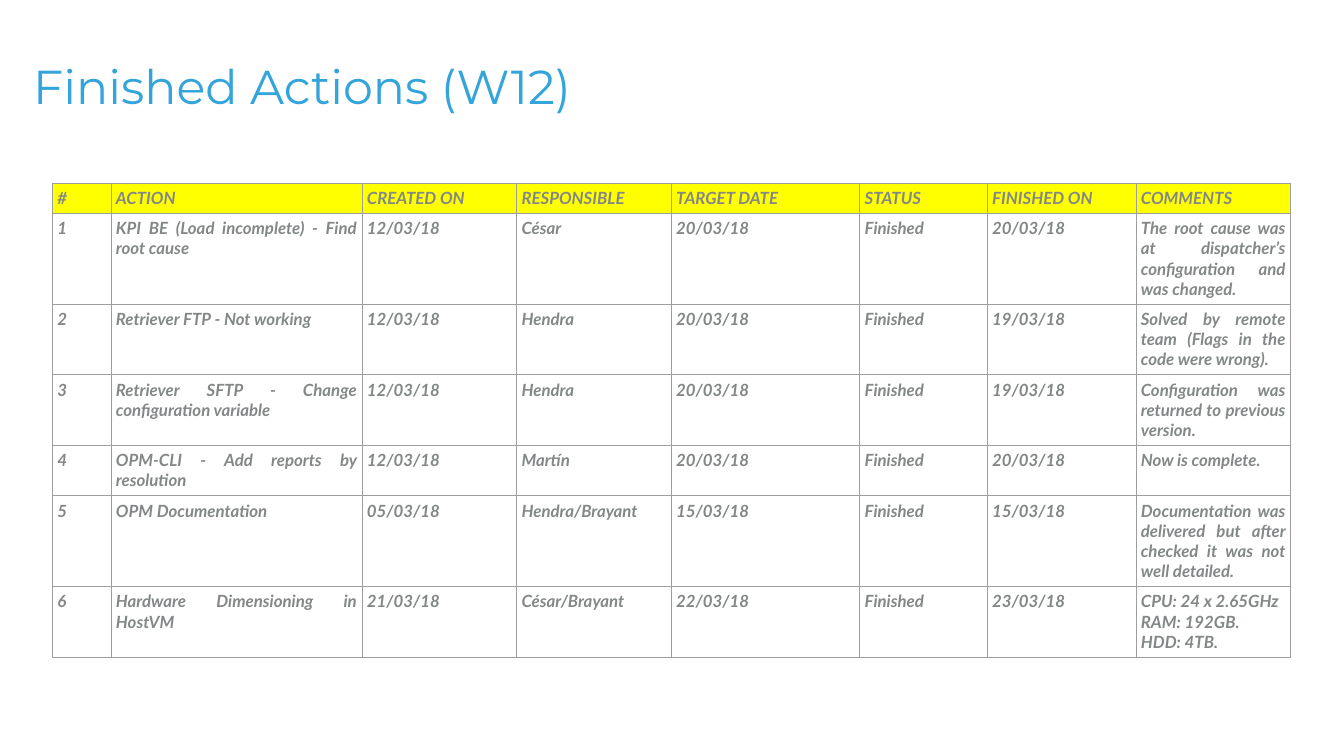
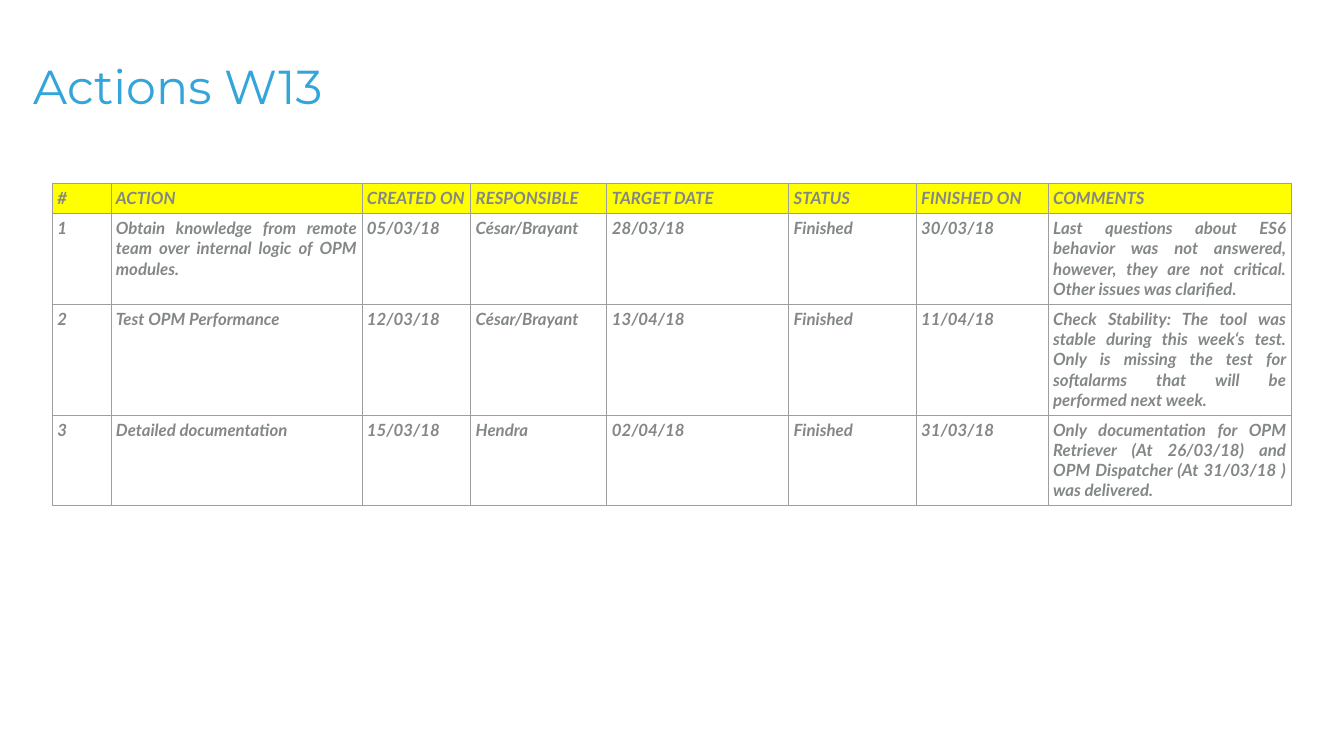
import pptx
import pptx.dml.color
import pptx.enum.text
import pptx.oxml.ns
import pptx.util
from lxml import etree

PX = 9144  # EMU per px, 100 px to the inch

HEADINGS = ("#", "ACTION", "CREATED ON", "RESPONSIBLE", "TARGET DATE",
            "STATUS", "FINISHED ON", "COMMENTS")
STATUS = "Finished"

# Action, created on, responsible, target date, finished on, comments
WEEK_12 = [
    ("KPI BE (Load incomplete) - Find root cause", "12/03/18", "César", "20/03/18",
     "20/03/18", "The root cause was at dispatcher’s configuration and was changed."),
    ("Retriever FTP - Not working", "12/03/18", "Hendra", "20/03/18",
     "19/03/18", "Solved by remote team (Flags in the code were wrong)."),
    ("Retriever SFTP - Change configuration variable", "12/03/18", "Hendra", "20/03/18",
     "19/03/18", "Configuration was returned to previous version."),
    ("OPM-CLI - Add reports by resolution", "12/03/18", "Martín", "20/03/18",
     "20/03/18", "Now is complete."),
    ("OPM Documentation", "05/03/18", "Hendra/Brayant", "15/03/18",
     "15/03/18", "Documentation was delivered but after checked it was not well detailed."),
    ("Hardware Dimensioning in HostVM", "21/03/18", "César/Brayant", "22/03/18",
     "23/03/18", "CPU: 24 x 2.65GHz\nRAM: 192GB.\nHDD: 4TB."),
]
WEEK_13 = [
    ("Obtain knowledge from remote team over internal logic of OPM modules.",
     "05/03/18", "César/Brayant", "28/03/18", "30/03/18",
     "Last questions about ES6 behavior was not answered, however, they are not "
     "critical. Other issues was clarified."),
    ("Test OPM Performance", "12/03/18", "César/Brayant", "13/04/18", "11/04/18",
     "Check Stability: The tool was stable during this week‘s test. Only is missing "
     "the test for softalarms that will be performed next week."),
    ("Detailed documentation", "15/03/18", "Hendra", "02/04/18", "31/03/18",
     "Only documentation for OPM Retriever (At 26/03/18) and OPM Dispatcher "
     "(At 31/03/18 ) was delivered."),
]


def color(value):
    return pptx.dml.color.RGBColor.from_string(value)


def write(frame, text, font, size, ink, bold=False, italic=False, align=None):
    """Fill a text frame, one paragraph for each line of text."""
    frame.word_wrap = True
    for index, line in enumerate(text.split("\n")):
        paragraph = frame.paragraphs[0] if index == 0 else frame.add_paragraph()
        paragraph.alignment = align
        run = paragraph.add_run()
        run.text = line
        run.font.name = font
        run.font.size = pptx.util.Pt(size)
        run.font.bold = bold
        run.font.italic = italic
        run.font.color.rgb = color(ink)


def set_margins(target, margin):
    target.margin_left = target.margin_right = margin
    target.margin_top = target.margin_bottom = margin


class Deck:
    TITLE = dict(font="Montserrat", size=68, ink="34A5DA")
    CELL = dict(font="Lato", size=24, ink="838787", bold=True, italic=True,
                align=pptx.enum.text.PP_ALIGN.JUSTIFY)
    HEADER_FILL = "FFFF00"
    BORDER = "9E9E9E"
    BORDER_WIDTH = 0.75
    MARGIN = 10 * PX
    ROW_HEIGHT = 42 * PX

    def __init__(self):
        self.presentation = pptx.Presentation()
        self.presentation.slide_width = 2667 * PX
        self.presentation.slide_height = 1500 * PX
        self.slide = None

    def add_slide(self):
        self.slide = self.presentation.slides.add_slide(
            self.presentation.slide_layouts[6])

    def add_title(self, text):
        box = self.slide.shapes.add_textbox(56 * PX, 103 * PX, 2500 * PX, 111 * PX)
        set_margins(box.text_frame, self.MARGIN)
        write(box.text_frame, text, **self.TITLE)

    def add_borders(self, cell):
        properties = cell._tc.get_or_add_tcPr()
        qn = pptx.oxml.ns.qn
        for side in ("a:lnL", "a:lnR", "a:lnT", "a:lnB"):
            line = etree.SubElement(properties, qn(side),
                                    w=str(pptx.util.Pt(self.BORDER_WIDTH)))
            fill = etree.SubElement(line, qn("a:solidFill"))
            etree.SubElement(fill, qn("a:srgbClr"), val=self.BORDER)

    def add_table(self, widths, rows):
        table = self.slide.shapes.add_table(
            len(rows), len(widths), 104 * PX, 363 * PX,
            sum(widths) * PX, len(rows) * self.ROW_HEIGHT).table
        table.first_row = table.horz_banding = False
        for column, width in zip(table.columns, widths):
            column.width = width * PX
        for row_index, row in enumerate(rows):
            for column_index, text in enumerate(row):
                cell = table.cell(row_index, column_index)
                set_margins(cell, self.MARGIN)
                self.add_borders(cell)
                if row_index == 0:
                    cell.fill.solid()
                    cell.fill.fore_color.rgb = color(self.HEADER_FILL)
                else:
                    cell.fill.background()
                write(cell.text_frame, text, **self.CELL)

    def add_action_slide(self, title, widths, actions):
        rows = [HEADINGS]
        for number, (*plan, finished, comments) in enumerate(actions, 1):
            rows.append((str(number), *plan, STATUS, finished, comments))
        self.add_slide()
        self.add_title(title)
        self.add_table(widths, rows)


def main():
    deck = Deck()
    deck.add_action_slide("Finished Actions (W12)",
                          (116, 498, 307, 307, 374, 253, 295, 307), WEEK_12)
    deck.add_action_slide("Actions W13",
                          (116, 498, 216, 270, 361, 253, 262, 482), WEEK_13)
    deck.presentation.save("out.pptx")


if __name__ == "__main__":
    main()
